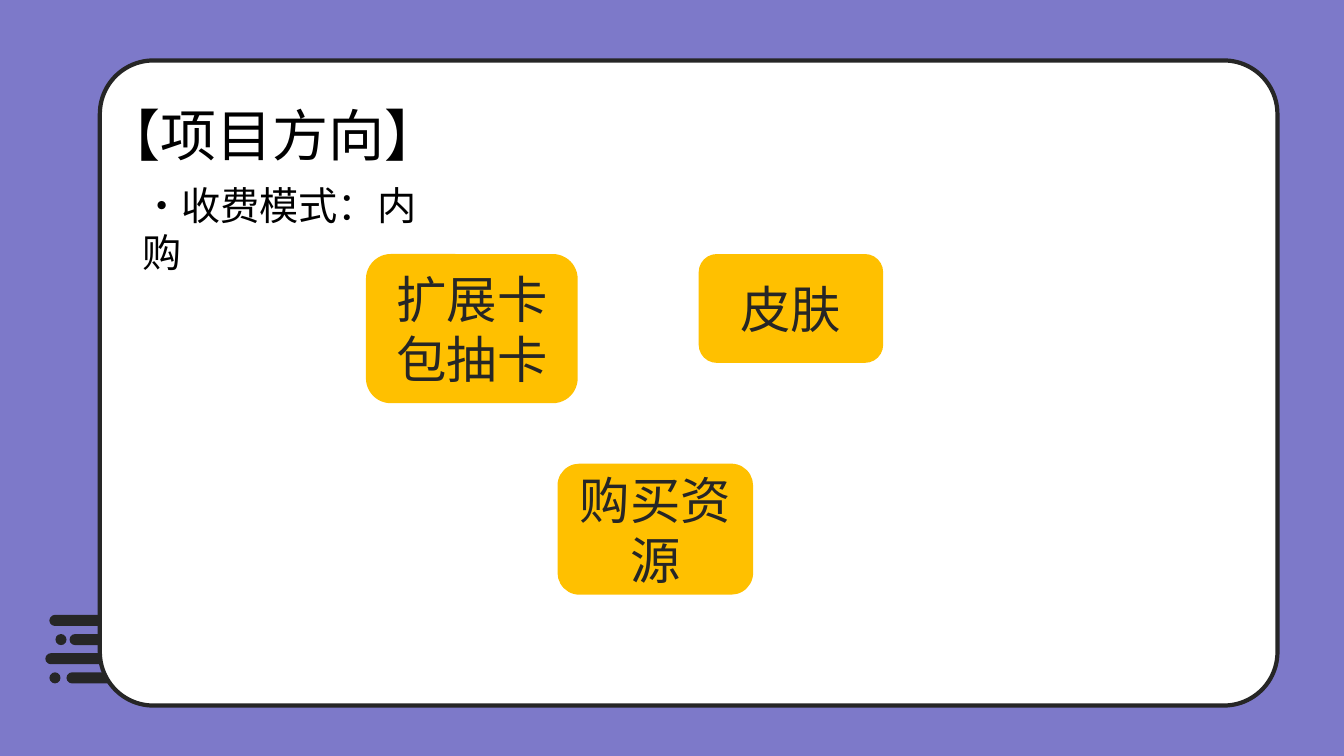
from lxml.etree import SubElement
from pptx import Presentation
from pptx.dml.color import RGBColor
from pptx.enum.shapes import MSO_SHAPE as Shape
from pptx.enum.text import MSO_ANCHOR as Anchor, MSO_AUTO_SIZE as AutoSize, PP_ALIGN as Align
from pptx.oxml.ns import qn
from pptx.util import Inches, Pt

FONT = "Noto Sans CJK JP"
COLORS = {
    "purple": "7D79C9",
    "dark": "262626",
    "white": "FFFFFF",
    "amber": "FFC000",
    "black": "000000",
}


def color(name):
    """Return the named palette colour."""
    return RGBColor.from_string(COLORS[name])


def place_in_front(page, shape, left, top, width, height):
    """Move and size a shape, in inches, and bring it to the front."""
    shape.left, shape.top = Inches(left), Inches(top)
    shape.width, shape.height = Inches(width), Inches(height)
    page.shapes._spTree.append(shape._element)


def write(shape, text, size, ink, align=Align.LEFT, anchor=Anchor.TOP, wrap=True):
    """Fill a shape with one formatted paragraph."""
    frame = shape.text_frame
    frame.text = text
    frame.word_wrap = wrap
    frame.auto_size = AutoSize.NONE
    frame.vertical_anchor = anchor
    frame.margin_left = frame.margin_right = Inches(0.05)
    frame.margin_top = frame.margin_bottom = Inches(0.05)
    para = frame.paragraphs[0]
    para.alignment = align
    para.space_before = Pt(0)
    properties = para._p.get_or_add_pPr()
    properties.set("marL", "0")
    properties.set("indent", "0")
    SubElement(properties, qn("a:buNone"))
    para.font.size = Pt(size)
    para.font.color.rgb = color(ink)
    para.font.name = FONT
    SubElement(properties.find(qn("a:defRPr")), qn("a:ea"), typeface=FONT)


def add_block(page, kind, box, fill, radius=None):
    """Add a flat filled shape without an outline."""
    block = page.shapes.add_shape(kind, *map(Inches, box))
    block.shadow.inherit = False
    block.fill.solid()
    block.fill.fore_color.rgb = color(fill)
    block.line.fill.background()
    if radius is not None:
        block.adjustments[0] = radius
    return block


def add_speed_lines(page, left, top):
    """Draw four speed lines, two of them led by a dot."""
    thickness, pitch = 0.11, 0.19
    rows = [(0.04, None), (0.24, 0.1), (0, None), (0.21, 0.04)]
    for row, (bar, dot) in enumerate(rows):
        y = top + row * pitch
        add_block(page, Shape.ROUNDED_RECTANGLE, (left + bar, y, 1, thickness), "dark", 0.5)
        if dot is not None:
            add_block(page, Shape.OVAL, (left + dot, y, thickness, thickness), "dark")


def add_panel(page, box):
    """Draw the outlined white panel behind the content."""
    panel = add_block(page, Shape.ROUNDED_RECTANGLE, box, "white", 0.083)
    panel.line.color.rgb = color("dark")
    panel.line.width = Pt(3)


def add_heading(page, left, top):
    """Place the title and the charging model below it."""
    title, body = page.placeholders
    place_in_front(page, title, left, top, 3.45, 0.88)
    write(title, "【项目方向】", 40, "black", wrap=False)
    place_in_front(page, body, left + 0.37, top + 0.8, 2.97, 0.66)
    write(body, "•收费模式：内购", 28, "black")


def add_card(page, text, box):
    """Draw one amber card with a centred label."""
    card = add_block(page, Shape.ROUNDED_RECTANGLE, box, "amber", 0.167)
    write(card, text, 36, "dark", Align.CENTER, Anchor.MIDDLE)


def build_direction_slide(deck):
    """Build the project direction slide."""
    page = deck.slides.add_slide(deck.slide_layouts[1])
    page.background.fill.solid()
    page.background.fill.fore_color.rgb = color("purple")
    add_speed_lines(page, 0.45, 6.1)
    add_panel(page, (0.99, 0.6, 11.68, 6.4))
    add_heading(page, 0.99, 0.95)
    add_card(page, "扩展卡包抽卡", (3.63, 2.52, 2.1, 1.48))
    add_card(page, "皮肤", (6.93, 2.52, 1.83, 1.08))
    add_card(page, "购买资源", (5.53, 4.6, 1.94, 1.3))


def main():
    """Create and save the deck."""
    deck = Presentation()
    deck.slide_width, deck.slide_height = Inches(13.33), Inches(7.5)
    build_direction_slide(deck)
    deck.save("out.pptx")


if __name__ == "__main__":
    main()
